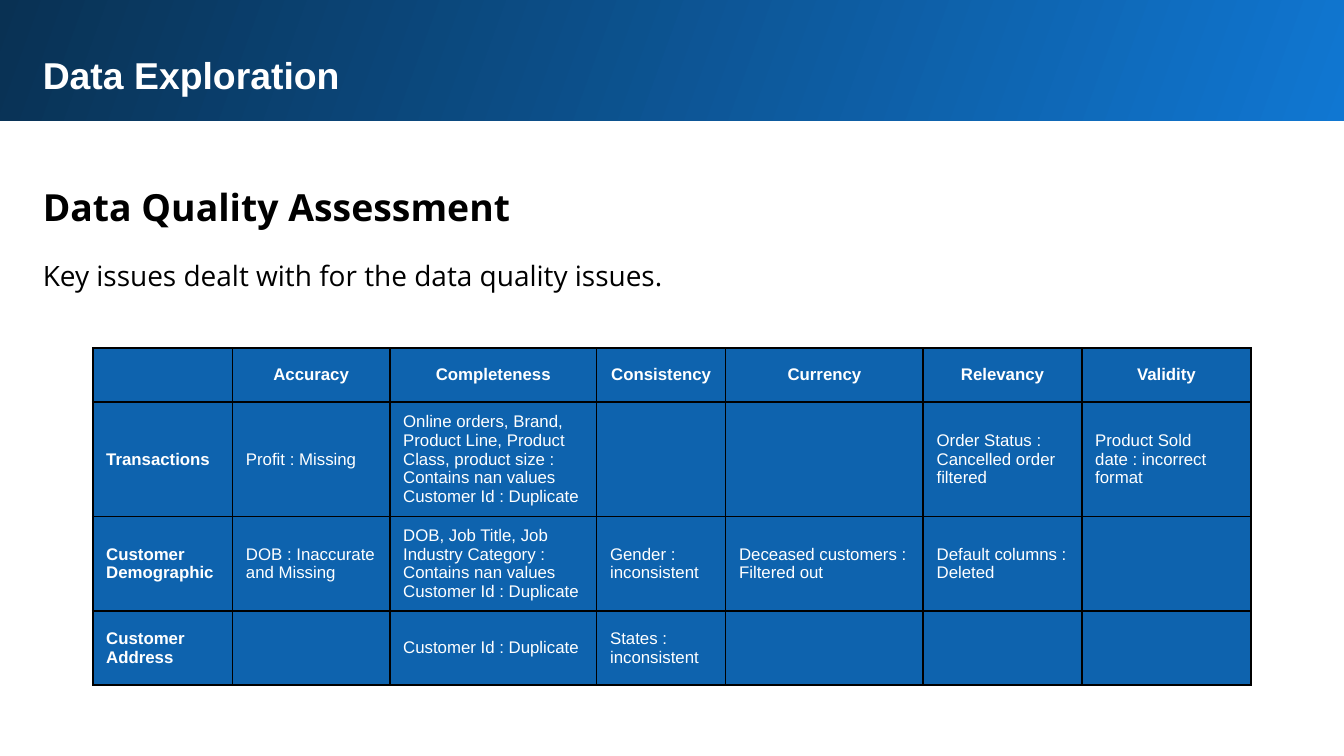
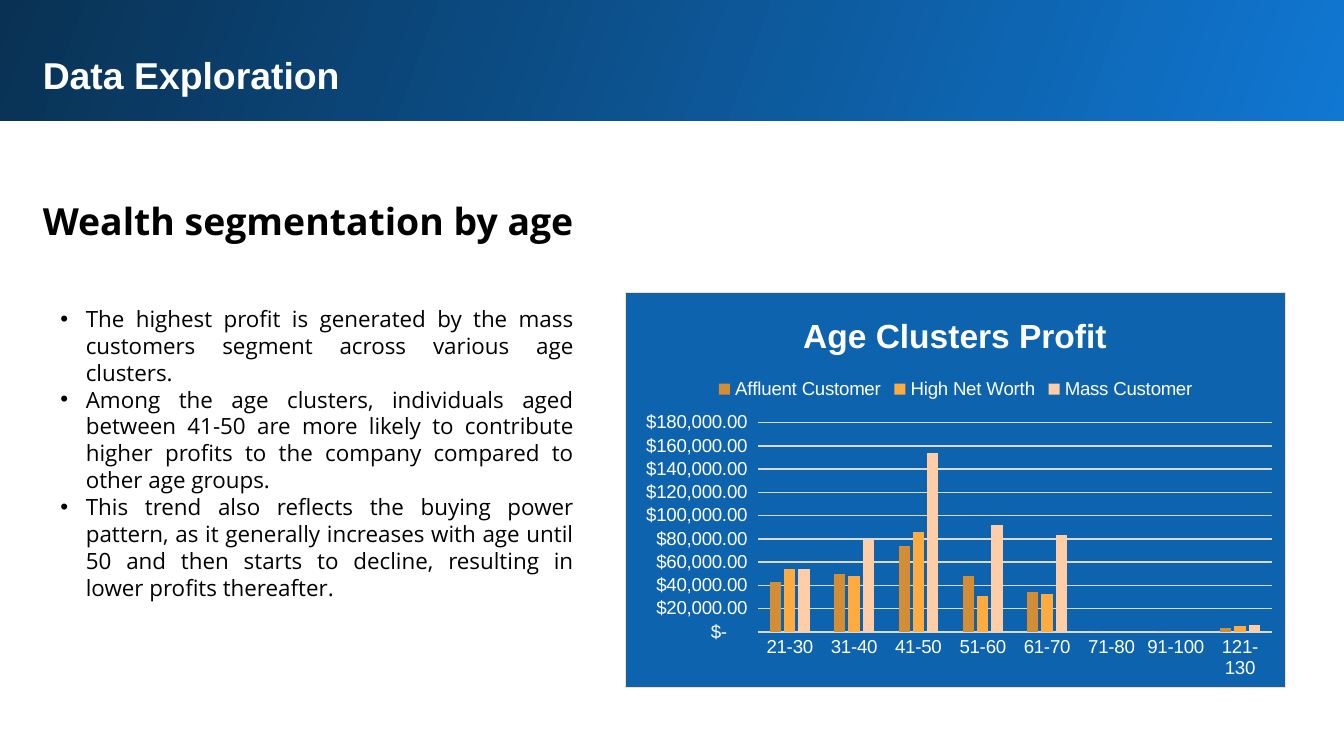
from lxml.etree import SubElement
from pptx import Presentation
from pptx.chart.data import CategoryChartData
from pptx.dml.color import RGBColor
from pptx.enum.chart import XL_CHART_TYPE, XL_LEGEND_POSITION, XL_TICK_MARK
from pptx.enum.shapes import MSO_SHAPE
from pptx.enum.text import MSO_ANCHOR, MSO_AUTO_SIZE, PP_ALIGN
from pptx.oxml import parse_xml
from pptx.oxml.ns import nsdecls, qn
from pptx.util import Inches, Pt

# Content
HEADER = "Data Exploration"
QUALITY_TITLE = "Data Quality Assessment"
QUALITY_INTRO = "Key issues dealt with for the data quality issues."
QUALITY_ROWS = [
    ["", "Accuracy", "Completeness", "Consistency", "Currency", "Relevancy", "Validity"],
    ["Transactions", "Profit : Missing",
     "Online orders, Brand, Product Line, Product Class, product size : "
     "Contains nan values\nCustomer Id : Duplicate",
     "", "", "Order Status : Cancelled order filtered",
     "Product Sold date : incorrect format"],
    ["Customer Demographic", "DOB : Inaccurate and Missing",
     "DOB, Job Title, Job Industry Category : Contains nan values\n"
     "Customer Id : Duplicate",
     "Gender : inconsistent", "Deceased customers : Filtered out",
     "Default columns : Deleted", ""],
    ["Customer Address", "", "Customer Id : Duplicate", "States : inconsistent",
     "", "", ""],
]
COLUMN_WIDTHS = [1.04, 1.17, 1.54, 0.96, 1.47, 1.18, 1.26]
ROW_HEIGHTS = [0.4, 0.84, 0.69, 0.55]

WEALTH_TITLE = "Wealth segmentation by age"
WEALTH_POINTS = [
    "The highest profit is generated by the mass customers segment across "
    "various age clusters.",
    "Among the age clusters, individuals aged between 41-50 are more likely to "
    "contribute higher profits to the company compared to other age groups.",
    "This trend also reflects the buying power pattern, as it generally increases "
    "with age until 50 and then starts to decline, resulting in lower profits "
    "thereafter.",
]
CHART_TITLE = "Age Clusters Profit"
AGE_CLUSTERS = ["21-30", "31-40", "41-50", "51-60", "61-70", "71-80", "91-100", "121-130"]
PROFITS = [
    ("Affluent Customer", "affluent", [43000, 50000, 74000, 48000, 34000, 0, 0, 3000]),
    ("High Net Worth", "high", [54000, 48000, 86000, 31000, 33000, None, None, 5000]),
    ("Mass Customer", "mass", [54000, 79000, 154000, 92000, 83000, None, None, 6000]),
]
DOLLARS = ('_-[$$-409]* #,##0.00_ ;_-[$$-409]* \\-#,##0.00\\ ;'
           '_-[$$-409]* "-"??_ ;_-@_ ')

# Shared style
COLORS = {
    "white": "FFFFFF", "black": "000000", "panel": "0E63AE",
    "band_light": "1077D2", "band_dark": "093153", "grid": "D9D9D9",
    "chart_border": "FFDDB3", "affluent": "D38E35", "high": "FFAB40", "mass": "FFCEA7",
}
HEADING_FONT, BODY_FONT = "Arial", "Open Sans"
SLIDE_WIDTH = 10
SLIDE_HEIGHT = SLIDE_WIDTH * 9 / 16
LEFT, FULL_WIDTH = 0.22, 9.37


def color(name):
    return RGBColor.from_string(COLORS[name])


def style_font(font, size, name=HEADING_FONT, fill="white", bold=False):
    font.size, font.name, font.bold = Pt(size), name, bold
    font.color.rgb = color(fill)


def write(frame, text, size=12, font=HEADING_FONT, fill="white", bold=False,
          align=None, spacing=None, bullet=False):
    """Put each line of text in a paragraph of its own."""
    for index, line in enumerate(text.split("\n")):
        paragraph = frame.paragraphs[0] if index == 0 else frame.add_paragraph()
        if align is not None:
            paragraph.alignment = align
        if spacing:
            paragraph.line_spacing = spacing
        if bullet:
            paragraph.level = 1
            properties = paragraph._p.get_or_add_pPr()
            properties.set("marL", str(Inches(0.19)))
            properties.set("indent", str(-Inches(0.19)))
            SubElement(properties, qn("a:buFont")).set("typeface", "Arial")
            SubElement(properties, qn("a:buChar")).set("char", "•")
        if line:
            run = paragraph.add_run()
            run.text = line
            style_font(run.font, size, font, fill, bold)


def add_text(slide, box, text, **style):
    frame = slide.shapes.add_textbox(*map(Inches, box)).text_frame
    frame.word_wrap = True
    frame.auto_size = MSO_AUTO_SIZE.SHAPE_TO_FIT_TEXT
    frame.margin_left = frame.margin_right = Inches(0.1)
    frame.margin_top = frame.margin_bottom = Inches(0.1)
    write(frame, text, **style)


def add_header(slide):
    band = slide.shapes.add_shape(
        MSO_SHAPE.RECTANGLE, *map(Inches, (-0.02, -0.02, 10.05, 0.92)))
    band.shadow.inherit = False
    band.line.fill.background()
    band.fill.gradient()
    band.fill.gradient_angle = 160
    for stop, name in zip(band.fill.gradient_stops, ("band_light", "band_dark")):
        stop.color.rgb = color(name)
    add_text(slide, (LEFT, 0.29, FULL_WIDTH, 0.51), HEADER, size=20, bold=True)


def add_cell_borders(cell):
    properties = cell._tc.get_or_add_tcPr()
    for index, side in enumerate(("lnL", "lnR", "lnT", "lnB")):
        properties.insert(index, parse_xml(
            f'<a:{side} {nsdecls("a")} w="{Pt(1)}"><a:solidFill>'
            f'<a:srgbClr val="{COLORS["black"]}"/></a:solidFill></a:{side}>'))


def add_quality_table(slide):
    shape = slide.shapes.add_table(
        len(ROW_HEIGHTS), len(COLUMN_WIDTHS), Inches(0.69), Inches(2.59),
        Inches(sum(COLUMN_WIDTHS)), Inches(sum(ROW_HEIGHTS)))
    table = shape.table
    for column, width in zip(table.columns, COLUMN_WIDTHS):
        column.width = Inches(width)
    for row, height in zip(table.rows, ROW_HEIGHTS):
        row.height = Inches(height)
    for row_index, texts in enumerate(QUALITY_ROWS):
        for column_index, text in enumerate(texts):
            cell = table.cell(row_index, column_index)
            cell.fill.solid()
            cell.fill.fore_color.rgb = color("panel")
            cell.vertical_anchor = MSO_ANCHOR.MIDDLE
            write(cell.text_frame, text, size=9,
                  bold=row_index == 0 or column_index == 0,
                  align=PP_ALIGN.CENTER if row_index == 0 else PP_ALIGN.LEFT)
            add_cell_borders(cell)


def place_chart_part(element, index, target="", **fractions):
    """Fix a chart part at fractions of the chart's width and height."""
    for layout in element.findall(qn("c:layout")):
        element.remove(layout)
    inner = f'<c:layoutTarget val="{target}"/>' if target else ""
    modes = "".join(f'<c:{axis}Mode val="edge"/>' for axis in "xy")
    values = "".join(f'<c:{key} val="{value}"/>' for key, value in fractions.items())
    element.insert(index, parse_xml(
        f'<c:layout {nsdecls("c")}><c:manualLayout>{inner}{modes}{values}'
        '</c:manualLayout></c:layout>'))


def add_profit_chart(slide):
    data = CategoryChartData()
    data.categories = AGE_CLUSTERS
    for name, _, values in PROFITS:
        data.add_series(name, values)
    chart = slide.shapes.add_chart(
        XL_CHART_TYPE.COLUMN_CLUSTERED, *map(Inches, (4.65, 2.17, 4.92, 2.95)), data).chart
    style_font(chart.font, 10)

    # Title and legend
    chart.has_title = True
    write(chart.chart_title.text_frame, CHART_TITLE, size=18, bold=True)
    chart.chart_title.include_in_layout = False
    chart.has_legend = True
    chart.legend.position = XL_LEGEND_POSITION.TOP
    chart.legend.include_in_layout = False
    style_font(chart.legend.font, 10)

    # Columns
    plot = chart.plots[0]
    plot.gap_width, plot.overlap, plot.vary_by_categories = 219, -27, False
    for series, (_, name, _) in zip(plot.series, PROFITS):
        series.format.fill.solid()
        series.format.fill.fore_color.rgb = color(name)

    # Axes
    for axis in (chart.category_axis, chart.value_axis):
        axis.major_tick_mark = axis.minor_tick_mark = XL_TICK_MARK.NONE
        style_font(axis.tick_labels.font, 10)
    chart.value_axis.format.line.fill.background()
    chart.value_axis.has_major_gridlines = True
    chart.value_axis.tick_labels.number_format = DOLLARS
    chart.value_axis.tick_labels.number_format_is_linked = False
    for line in (chart.category_axis.format.line,
                 chart.value_axis.major_gridlines.format.line):
        line.color.rgb = color("grid")
        line.width = Pt(0.75)

    # Chart area and placement of its parts
    chart_element = chart._chartSpace.find(qn("c:chart"))
    chart_element.addnext(parse_xml(
        f'<c:spPr {nsdecls("c", "a")}><a:solidFill><a:srgbClr val="{COLORS["panel"]}"/>'
        f'</a:solidFill><a:ln w="{Pt(0.75)}"><a:solidFill>'
        f'<a:srgbClr val="{COLORS["chart_border"]}"/></a:solidFill></a:ln></c:spPr>'))
    place_chart_part(chart_element.find(qn("c:title")), 1, x=0.26, y=0.04)
    place_chart_part(chart_element.find(qn("c:legend")), 1, x=0.13, y=0.21, w=0.74, h=0.07)
    place_chart_part(chart_element.find(qn("c:plotArea")), 0, "inner",
                     x=0.2, y=0.33, w=0.78, h=0.53)


presentation = Presentation()
presentation.slide_width = Inches(SLIDE_WIDTH)
presentation.slide_height = Inches(SLIDE_HEIGHT)
blank = presentation.slide_layouts[6]
heading = {"size": 20, "font": BODY_FONT, "fill": "black", "bold": True}

# Data quality
slide = presentation.slides.add_slide(blank)
add_header(slide)
add_text(slide, (LEFT, 1.22, FULL_WIDTH, 0.56), QUALITY_TITLE, spacing=1.15, **heading)
add_text(slide, (LEFT, 1.79, 5.7, 0.47), QUALITY_INTRO,
         size=15, font=BODY_FONT, fill="black", spacing=1.15)
add_quality_table(slide)

# Wealth segmentation
slide = presentation.slides.add_slide(blank)
add_profit_chart(slide)
add_header(slide)
add_text(slide, (LEFT, 1.21, FULL_WIDTH, 0.65), WEALTH_TITLE,
         align=PP_ALIGN.JUSTIFY, spacing=1.5, **heading)
add_text(slide, (0.35, 2.17, 4.02, 2.42), "\n".join(WEALTH_POINTS), size=12,
         font=BODY_FONT, fill="black", align=PP_ALIGN.JUSTIFY, bullet=True)

presentation.save("out.pptx")
